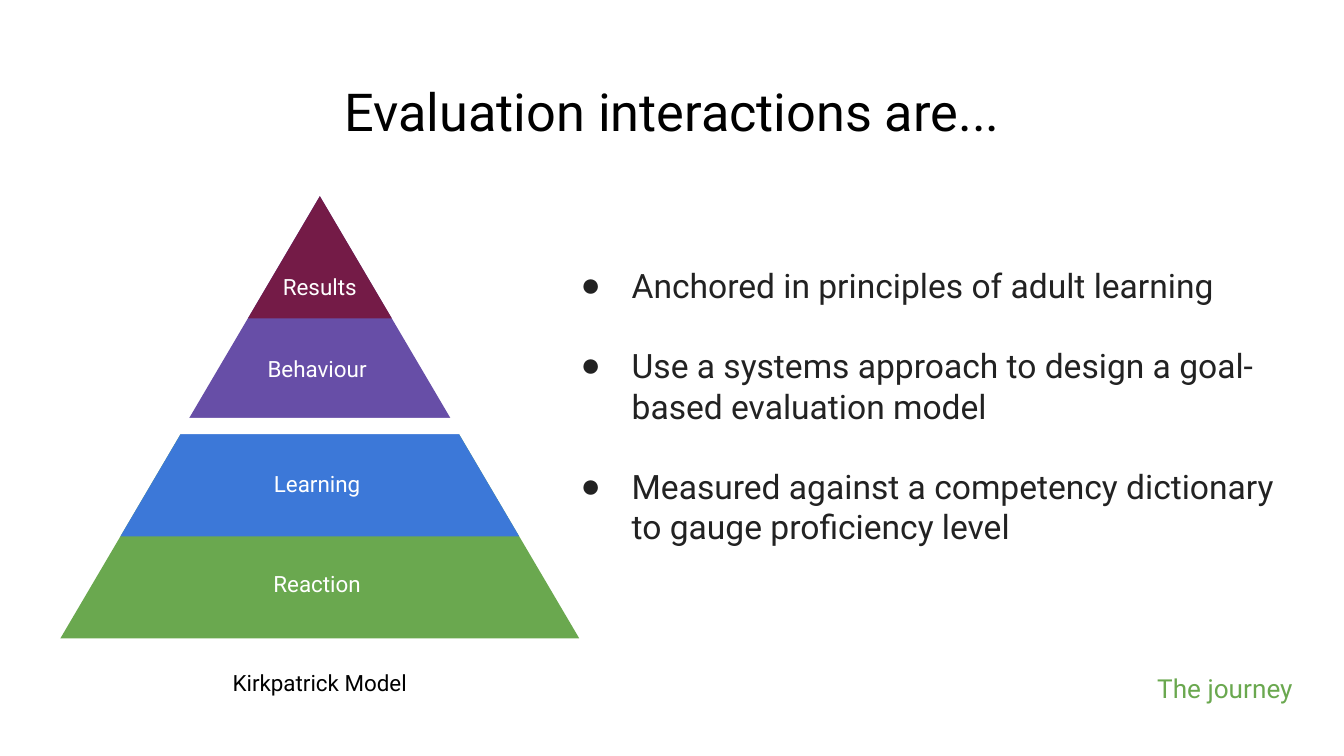
from lxml import etree
from pptx import Presentation
from pptx.dml.color import RGBColor
from pptx.enum.shapes import MSO_SHAPE as Shape
from pptx.enum.text import MSO_ANCHOR as Anchor, MSO_AUTO_SIZE as AutoSize, PP_ALIGN as Align
from pptx.oxml.ns import qn
from pptx.util import Inches, Pt

BLACK = RGBColor(0x00, 0x00, 0x00)
WHITE = RGBColor(0xFF, 0xFF, 0xFF)
CHARCOAL = RGBColor(0x22, 0x22, 0x22)
GREEN = RGBColor(0x6A, 0xA8, 0x4F)
BLUE = RGBColor(0x3C, 0x78, 0xD8)
PURPLE = RGBColor(0x67, 0x4E, 0xA7)
MAROON = RGBColor(0x74, 0x1B, 0x47)


def write_text(shape, box, lines, size, color, alignment):
    shape.left, shape.top, shape.width, shape.height = map(Inches, box)
    frame = shape.text_frame
    frame.text = "\n".join(lines)
    frame_format = {"word_wrap": True, "auto_size": AutoSize.NONE, "vertical_anchor": Anchor.TOP}
    for side in ("left", "top", "right", "bottom"):
        frame_format[f"margin_{side}"] = Inches(0.1)
    for name, value in frame_format.items():
        setattr(frame, name, value)
    for paragraph in frame.paragraphs:
        paragraph.alignment = alignment
        paragraph.space_before = Pt(0)
        font = paragraph.runs[0].font
        for name, value in {"name": "Roboto", "size": Pt(size)}.items():
            setattr(font, name, value)
        font.color.rgb = color


def add_flat_shape(kind, box, color):
    shape = slide.shapes.add_shape(kind, *map(Inches, box))
    shape.shadow.inherit = False
    shape.fill.solid()
    shape.fill.fore_color.rgb = color
    shape.line.fill.background()


# A 16:9 slide, 10 inches wide
presentation = Presentation()
presentation.slide_width = Inches(10)
presentation.slide_height = Inches(10) * 9 // 16
slide = presentation.slides.add_slide(presentation.slide_layouts[1])

# Title
write_text(slide.shapes.title, (0.34, 0.49, 9.32, 0.63),
           ["Evaluation interactions are..."], 28, BLACK, Align.CENTER)

# Bulleted list
body = slide.placeholders[1]
write_text(body, (4.1, 1.87, 5.56, 3.74), [
    "Anchored in principles of adult learning",
    "Use a systems approach to design a goal-based evaluation model",
    "Measured against a competency dictionary to gauge proficiency level",
], 18, CHARCOAL, Align.LEFT)
for paragraph in body.text_frame.paragraphs:
    paragraph.space_after = Pt(21.5)
    properties = paragraph._p.get_or_add_pPr()
    properties.set("marL", str(Inches(0.5)))
    properties.set("indent", str(Inches(-0.38)))
    bullet_color = etree.SubElement(properties, qn("a:buClr"))
    etree.SubElement(bullet_color, qn("a:srgbClr"), val=str(CHARCOAL))
    etree.SubElement(properties, qn("a:buFont"), typeface="Arial")
    etree.SubElement(properties, qn("a:buChar"), char="●")

# Pyramid: nested triangles sharing one apex, largest at the back
AXIS, APEX, ASPECT = 2.38, 1.46, 1.177
for height, color in ((3.28, GREEN), (2.52, BLUE), (1.7, PURPLE), (0.91, MAROON)):
    width = height * ASPECT
    top = APEX + 0.01 if height > 2 else APEX
    add_flat_shape(Shape.ISOSCELES_TRIANGLE, (AXIS - width / 2, top, width, height), color)

# White gap between the upper and lower levels
add_flat_shape(Shape.RECTANGLE, (1, 3.11, 2.73, 0.12), WHITE)

# Level labels, caption and footer
for text, box, size, color in (
    ("Reaction", (1.54, 4.14, 1.64, 0.31), 12, WHITE),
    ("Learning", (1.54, 3.4, 1.64, 0.31), 12, WHITE),
    ("Results", (1.56, 1.93, 1.64, 0.31), 12, WHITE),
    ("Behaviour", (1.54, 2.54, 1.64, 0.31), 12, WHITE),
    ("Kirkpatrick Model", (1.1, 4.88, 2.56, 0.31), 12, BLACK),
    ("The journey", (8.43, 4.9, 1.37, 0.5), 14, GREEN),
):
    label = slide.shapes.add_textbox(*map(Inches, box))
    write_text(label, box, [text], size, color, Align.CENTER)

presentation.save("out.pptx")
